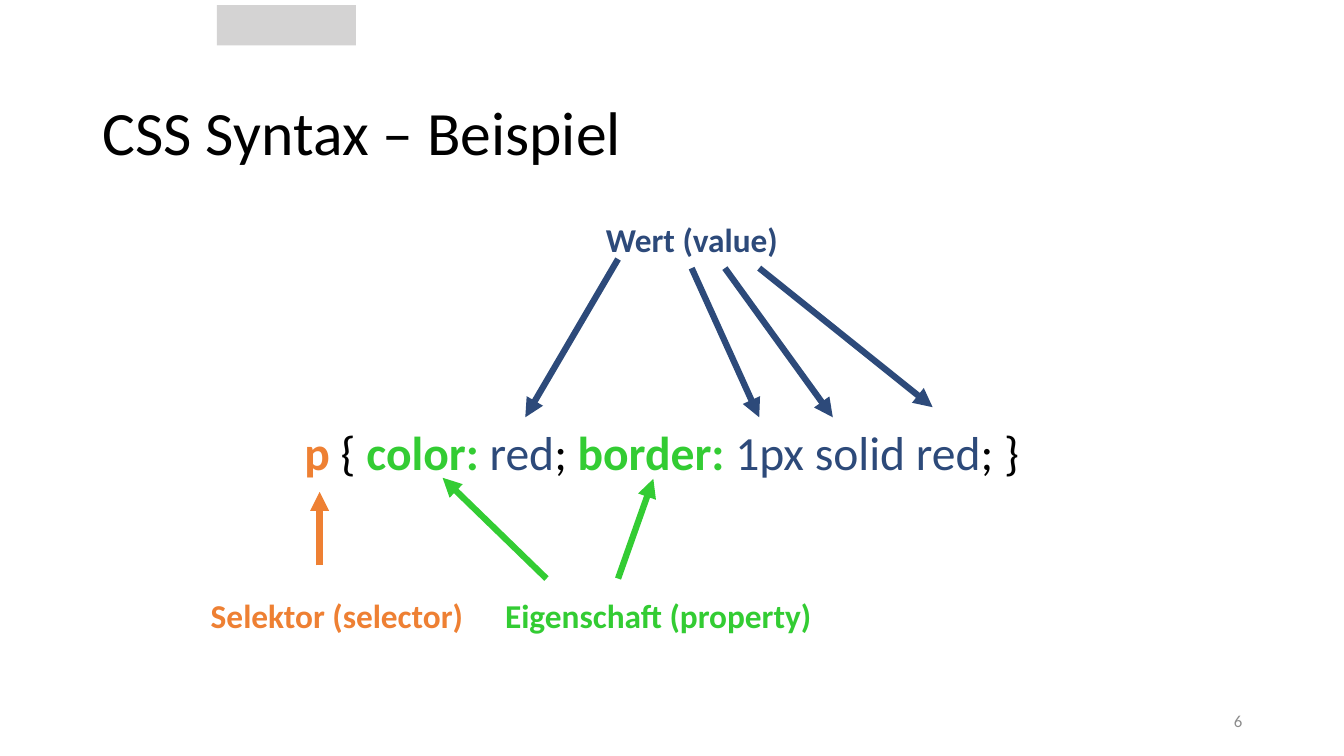
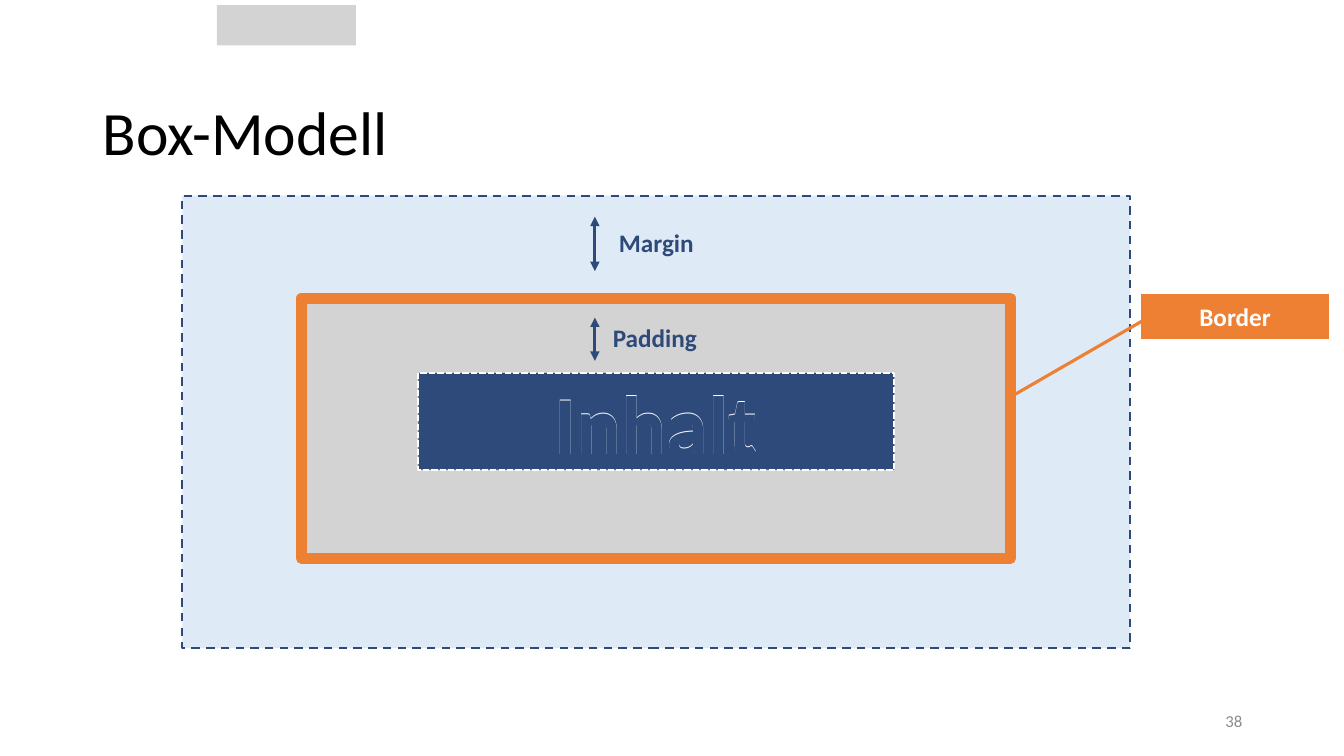
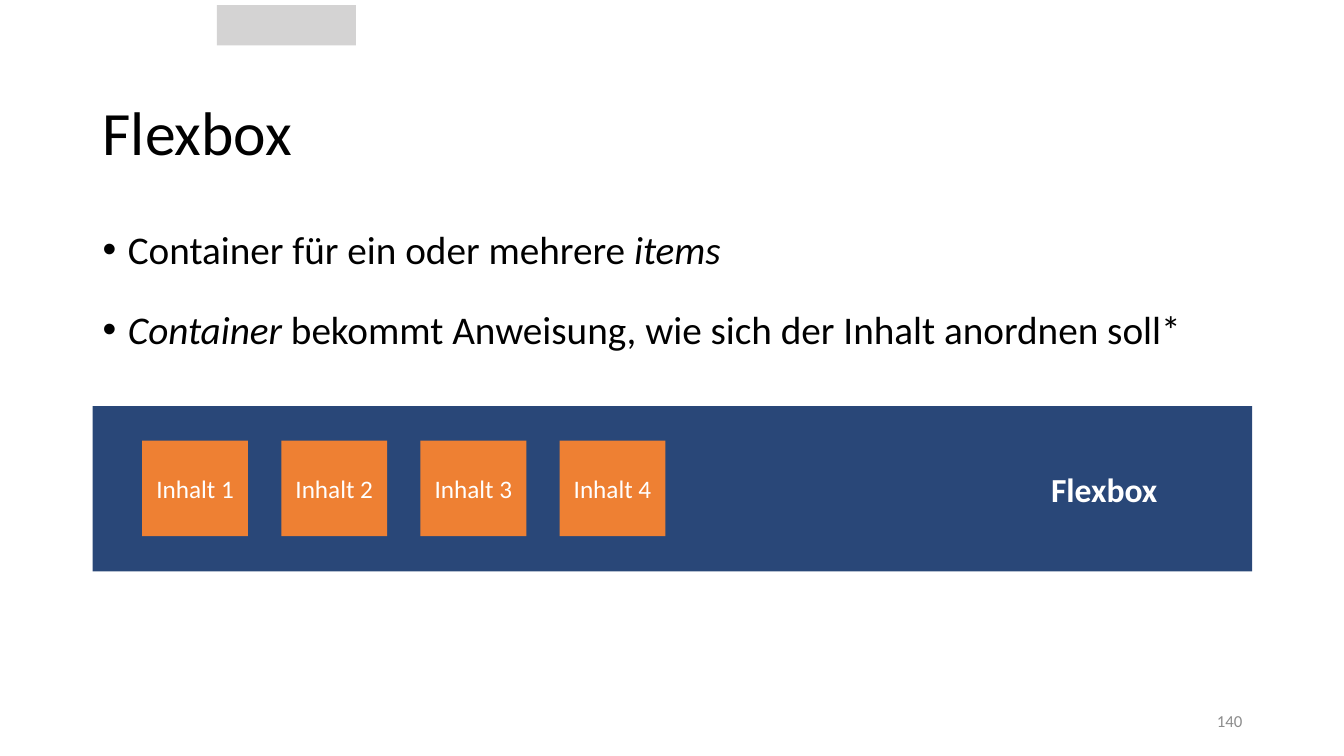
from lxml import etree
from pptx import Presentation
from pptx.dml.color import RGBColor
from pptx.enum.dml import MSO_LINE
from pptx.enum.shapes import MSO_CONNECTOR, MSO_SHAPE
from pptx.enum.text import MSO_ANCHOR, PP_ALIGN
from pptx.oxml.ns import qn
from pptx.util import Pt

PX = 9144
FONT = "Calibri"
BLACK, WHITE, GRAY, NUMBER = "000000", "FFFFFF", "D4D3D3", "8C8C8C"
NAVY, BAND, SKY, ORANGE, GREEN = "2D4A7A", "294778", "DEEBF7", "EE8033", "33CC33"
RECT = MSO_SHAPE.RECTANGLE
CALLOUT = MSO_SHAPE.LINE_CALLOUT_1_NO_BORDER
STRAIGHT = MSO_CONNECTOR.STRAIGHT
DASH, SYS_DASH = MSO_LINE.DASH, MSO_LINE.SQUARE_DOT
LEFT, CENTER, RIGHT = PP_ALIGN.LEFT, PP_ALIGN.CENTER, PP_ALIGN.RIGHT
TOP, MIDDLE = MSO_ANCHOR.TOP, MSO_ANCHOR.MIDDLE
PADDED = (10, 5, 10, 5)
NONE = (0, 0, 0, 0)
color = RGBColor.from_string


def add_box(page, at, fill=None, line=None, width=0, dash=None, kind=RECT):
    box = page.shapes.add_shape(kind, *(n * PX for n in at))
    box.shadow.inherit = False
    if fill:
        box.fill.solid()
        box.fill.fore_color.rgb = color(fill)
    else:
        box.fill.background()
    if line:
        box.line.color.rgb = color(line)
        box.line.width = Pt(width)
        if dash:
            box.line.dash_style = dash
    else:
        box.line.fill.background()
    return box


def write(box, text, size, ink, bold=False, align=CENTER, anchor=MIDDLE,
          insets=PADDED, wrap=True):
    frame = box.text_frame
    frame.word_wrap = wrap
    frame.vertical_anchor = anchor
    frame.margin_left, frame.margin_top, frame.margin_right, frame.margin_bottom = (
        n * PX for n in insets)
    para = frame.paragraphs[0]
    para.alignment = align
    para.font.name, para.font.size, para.font.bold = FONT, Pt(size), bold
    para.font.color.rgb = color(ink)
    if text:
        para.add_run().text = text
    return para


deck = Presentation()
deck.slide_width, deck.slide_height = 1333 * PX, 750 * PX

pages = []
for title, number in [("CSS Syntax – Beispiel", "6"), ("Box-Modell", "38"), ("Flexbox", "140")]:
    page = deck.slides.add_slide(deck.slide_layouts[6])
    pages.append(page)
    add_box(page, (215, 5, 138, 40), GRAY)
    heading = page.shapes.add_textbox(92 * PX, 50 * PX, 1150 * PX, 135 * PX)
    write(heading, title, 44, BLACK, align=LEFT, insets=(10, 39, 10, 5)).line_spacing = 0.9
    footer = page.shapes.add_textbox(942 * PX, 695 * PX, 300 * PX, 40 * PX)
    write(footer, number, 12, NUMBER, align=RIGHT)
syntax, model, flexbox = pages

for left, top, width, label, ink in [
    (601, 217, 171, "Wert (value)", NAVY),
    (209, 590, 251, "Selektor (selector)", ORANGE),
    (501, 590, 305, "Eigenschaft (property)", GREEN),
]:
    box = syntax.shapes.add_textbox(left * PX, top * PX, width * PX, 40 * PX)
    write(box, label, 23.8, ink, True, LEFT, TOP, NONE, wrap=False)

rule = syntax.shapes.add_textbox(302 * PX, 420 * PX, 710 * PX, 58 * PX)
para = write(rule, "", 34, BLACK, align=LEFT, anchor=TOP, insets=NONE, wrap=False)
for text, ink, bold in [
    ("p", ORANGE, True), (" { ", BLACK, False),
    ("color: ", GREEN, True), ("red", NAVY, False), ("; ", BLACK, False),
    ("border: ", GREEN, True), ("1px solid red", NAVY, False), ("; }", BLACK, False),
]:
    span = para.add_run()
    span.text = text
    span.font.bold = bold
    span.font.color.rgb = color(ink)

margin = add_box(model, (181, 194, 940, 449), SKY, NAVY, 1.5, DASH)
write(margin, "Margin", 18, NAVY, True, anchor=TOP, insets=(10, 31, 10, 5))
padding = add_box(model, (298, 296, 703, 258), GRAY)
write(padding, "Padding", 18, NAVY, True, anchor=TOP, insets=(10, 24, 10, 5))
content = add_box(model, (415, 370, 472, 96), NAVY, WHITE, 1.5, SYS_DASH)
write(content, "Inhalt", 60, WHITE, True)
callout = add_box(model, (1132, 292, 186, 44), ORANGE, ORANGE, 2.25, kind=CALLOUT)
for index, value in enumerate((0.59, 0.01, 2.32, -0.7)):
    callout.adjustments[index] = value
write(callout, "Border", 18, WHITE, True)
add_box(model, (299, 296, 703, 258), line=ORANGE, width=8)
overlay = model.shapes.add_textbox(415 * PX, 363 * PX, 472 * PX, 111 * PX)
write(overlay, "Inhalt", 60, NAVY, True)

for page, x1, y1, x2, y2, ink, width, ends in [
    (syntax, 317, 561, 317, 488, ORANGE, 4.5, ["tailEnd"]),
    (syntax, 613, 574, 648, 475, GREEN, 4.5, ["tailEnd"]),
    (syntax, 542, 574, 439, 474, GREEN, 4.5, ["tailEnd"]),
    (syntax, 613, 257, 521, 414, NAVY, 4.5, ["tailEnd"]),
    (syntax, 686, 266, 753, 414, NAVY, 4.5, ["tailEnd"]),
    (syntax, 719, 266, 826, 414, NAVY, 4.5, ["tailEnd"]),
    (syntax, 753, 266, 925, 404, NAVY, 4.5, ["tailEnd"]),
    (model, 590, 315, 590, 358, NAVY, 2.25, ["headEnd", "tailEnd"]),
    (model, 590, 215, 590, 269, NAVY, 2.25, ["headEnd", "tailEnd"]),
]:
    arrow = page.shapes.add_connector(STRAIGHT, x1 * PX, y1 * PX, x2 * PX, y2 * PX)
    arrow.line.color.rgb = color(ink)
    arrow.line.width = Pt(width)
    for end in ends:
        etree.SubElement(arrow.line._get_or_add_ln(), qn("a:" + end), type="triangle")
    etree.SubElement(arrow._element.spPr, qn("a:effectLst"))

body = flexbox.shapes.add_textbox(92 * PX, 200 * PX, 1150 * PX, 155 * PX)
body.text_frame.word_wrap = True
for index, spans in enumerate([
    [("Container für ein oder mehrere ", False), ("items", True)],
    [("Container", True), (" bekommt Anweisung, wie sich der Inhalt anordnen soll*", False)],
]):
    para = body.text_frame.add_paragraph() if index else body.text_frame.paragraphs[0]
    para.line_spacing = 1.4
    para.space_before = Pt(10 if index else 0)
    props = para._p.get_or_add_pPr()
    props.set("marL", str(25 * PX))
    props.set("indent", str(-25 * PX))
    etree.SubElement(props, qn("a:buFont"), typeface="Arial")
    etree.SubElement(props, qn("a:buChar"), char="•")
    para.font.name, para.font.size = FONT, Pt(28)
    para.font.color.rgb = color(BLACK)
    for text, italic in spans:
        span = para.add_run()
        span.text = text
        span.font.italic = italic

container = add_box(flexbox, (92, 403, 1150, 164), BAND)
write(container, "Flexbox", 24, WHITE, True, RIGHT, insets=(10, 5, 94, 5))
for index in range(4):
    item = add_box(flexbox, (141 + 138 * index, 437, 105, 95), ORANGE)
    write(item, f"Inhalt {index + 1}", 18, WHITE)

deck.save("out.pptx")
